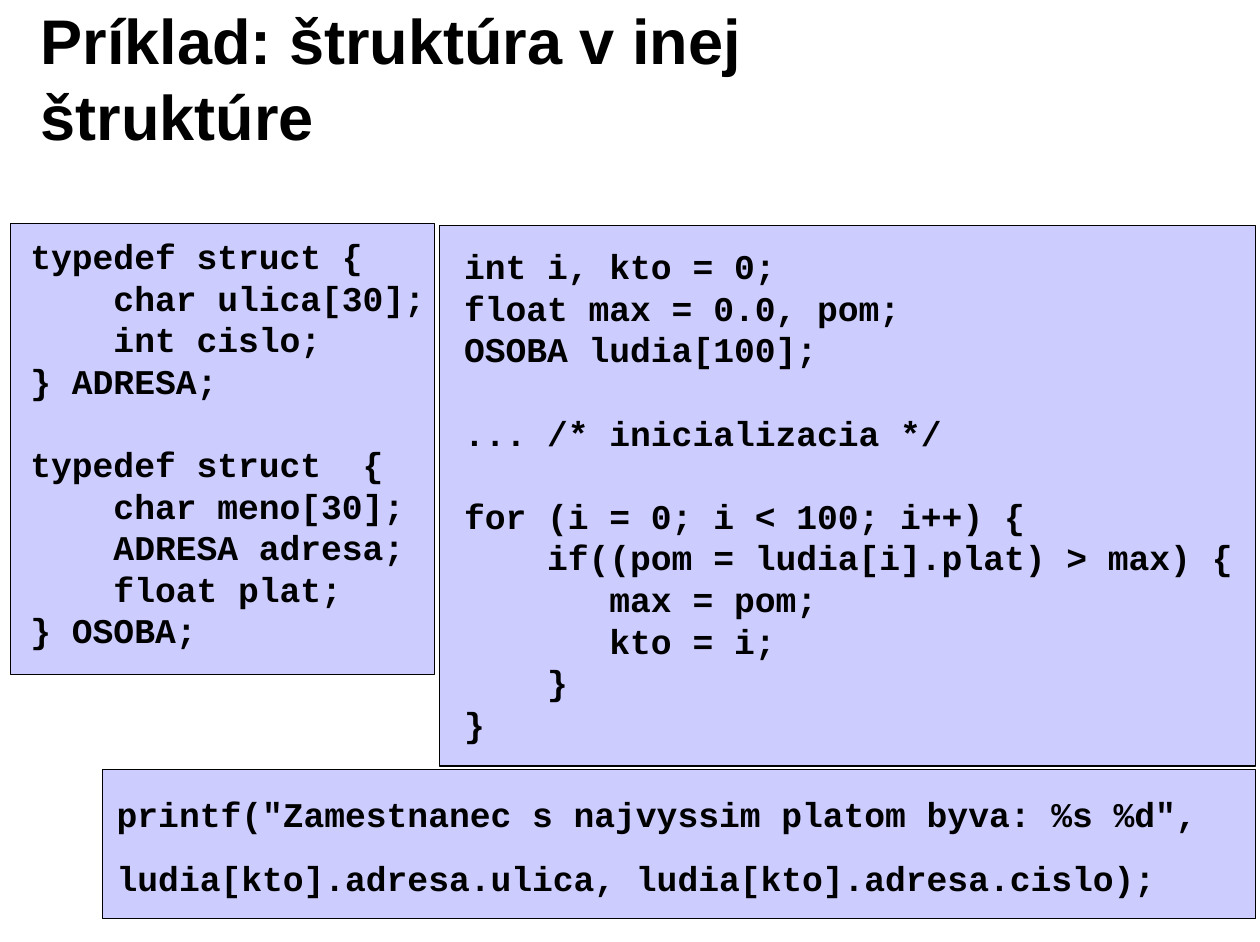
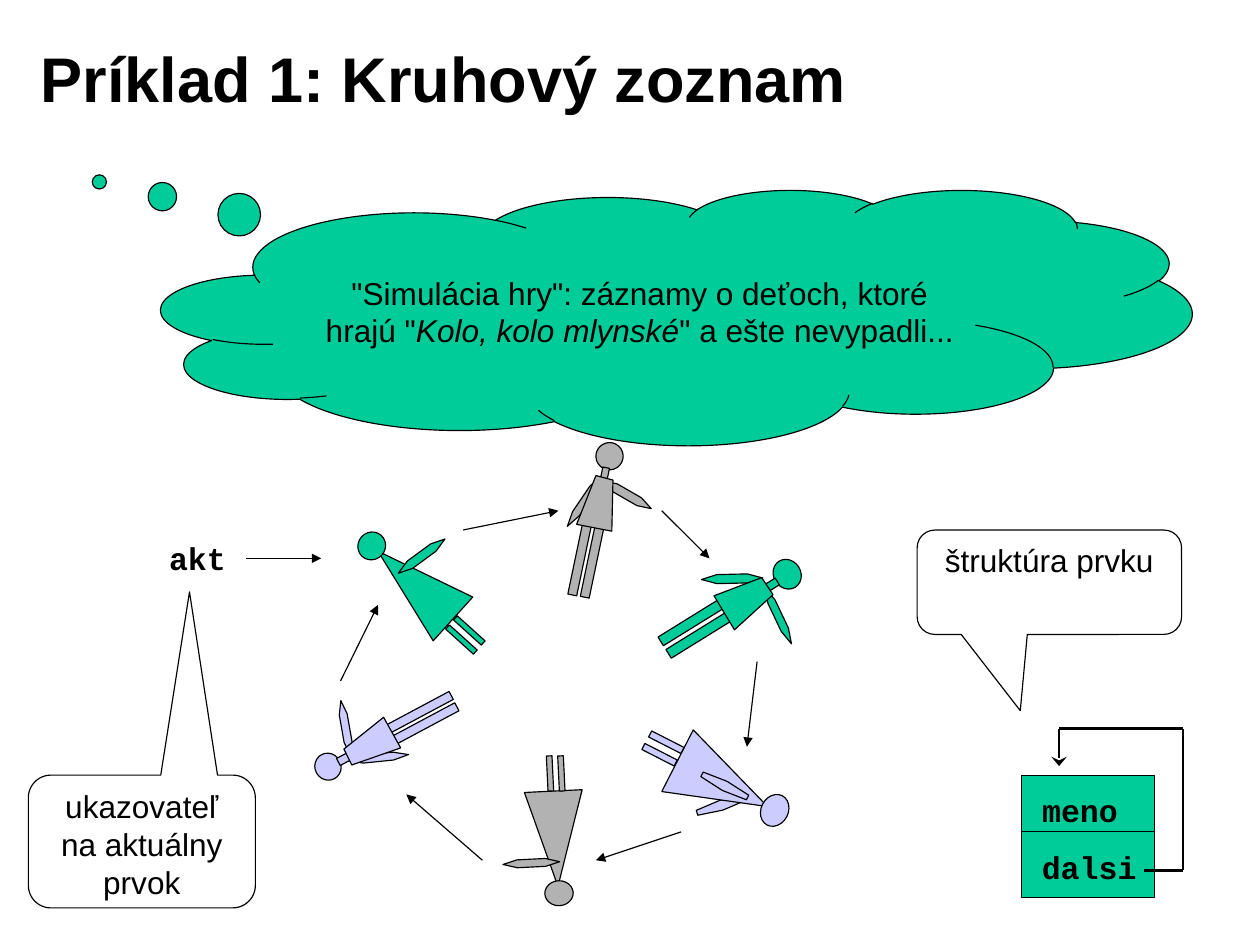
from itertools import pairwise

from pptx import Presentation
from pptx.dml.color import RGBColor
from pptx.enum.shapes import MSO_CONNECTOR, MSO_SHAPE as SHAPE
from pptx.enum.text import MSO_ANCHOR as ANCHOR, MSO_AUTO_SIZE as FIT, PP_ALIGN as ALIGN
from pptx.oxml.ns import qn
from pptx.util import Inches, Pt

COLOURS = {"ink": "000000", "paper": "FFFFFF", "lilac": "CCCCFF",
           "green": "00CC99", "grey": "B2B2B2"}
SANS, MONO = "Arial", "Courier New"
SLIDE_SIZE = (11.1, 8.3)
TITLE_BOX = (0.25, 0.17, 8.91, 1.02)
LINE_PITCH = 1.2

# Slide 1: code panels as (panel box, text box, extra space between lines, code)
NESTED_TITLE = "Príklad: štruktúra v inej štruktúre"
CODE_PANELS = [
    ((0.09, 1.97, 3.74, 3.97), (0.17, 2.02, 3.74, 3.78), 0, """\
typedef struct {
    char ulica[30];
    int cislo;
} ADRESA;

typedef struct  {
    char meno[30];
    ADRESA adresa;
    float plat;
} OSOBA;"""),
    ((3.87, 1.99, 7.19, 4.76), (3.99, 2.11, 6.97, 4.5), 0, """\
int i, kto = 0;
float max = 0.0, pom;
OSOBA ludia[100];

... /* inicializacia */

for (i = 0; i < 100; i++) {
    if((pom = ludia[i].plat) > max) {
       max = pom;
       kto = i;
    }
}"""),
    ((0.9, 6.78, 10.16, 1.31), (0.93, 6.94, 9.91, 1.03), 13.8, """\
printf("Zamestnanec s najvyssim platom byva: %s %d",
ludia[kto].adresa.ulica, ludia[kto].adresa.cislo);"""),
]

# Slide 2: circular list
RING_TITLE = "Príklad 1: Kruhový zoznam"
GAME_RUNS = [('"Simulácia hry": záznamy o deťoch, ktoré hrajú "', False),
             ("Kolo, kolo mlynské", True),
             ('" a ešte nevypadli...', False)]
GAME_CLOUD = (1.42, 1.67, 9.08, 2.25)

# Children: colour, turn in degrees, parts (kind, box, own turn for arms), torso
PART_SHAPES = {"dress": SHAPE.ISOSCELES_TRIANGLE, "arm": SHAPE.HEXAGON,
               "head": SHAPE.OVAL, "leg": SHAPE.RECTANGLE, "neck": SHAPE.RECTANGLE}
CHILDREN = [
    ("grey", 177.2, [
        ("dress", (4.64, 6.97, 0.51, 0.84)),
        ("arm", (4.43, 7.57, 0.5, 0.07), 177.2),
        ("head", (4.8, 7.76, 0.25, 0.22)),
        ("leg", (4.92, 6.66, 0.05, 0.31)),
        ("leg", (4.82, 6.66, 0.05, 0.31))], []),
    ("green", 312.1, [
        ("dress", (3.4, 4.71, 0.52, 0.89)),
        ("arm", (3.46, 4.86, 0.51, 0.08), 323.7),
        ("head", (3.15, 4.69, 0.25, 0.24)),
        ("leg", (4.04, 5.47, 0.05, 0.33)),
        ("leg", (4.11, 5.39, 0.05, 0.33))], []),
    ("lilac", 117, [
        ("arm", (6.31, 6.87, 0.09, 0.45), 72.6),
        ("dress", (6.06, 6.46, 0.61, 0.89)),
        ("arm", (6.34, 6.7, 0.09, 0.45), 117),
        ("head", (6.68, 7.02, 0.29, 0.24)),
        ("leg", (5.84, 6.38, 0.06, 0.32)),
        ("leg", (5.78, 6.49, 0.06, 0.32))], []),
    ("lilac", 241.9, [
        ("arm", (3.06, 6.64, 0.54, 0.07), 174.3),
        ("arm", (2.8, 6.38, 0.49, 0.07), 260),
        ("head", (2.77, 6.64, 0.24, 0.23)),
        ("leg", (3.69, 6.05, 0.08, 0.67)),
        ("leg", (3.64, 5.95, 0.08, 0.67)),
        ("neck", (2.99, 6.64, 0.07, 0.1))],
     [(3.53, 6.59), (3.1, 6.74), (3.03, 6.6), (3.38, 6.32)]),
    ("green", 58.2, [
        ("arm", (6.18, 5.06, 0.54, 0.08), 358.6),
        ("arm", (6.58, 5.39, 0.55, 0.07), 64.6),
        ("head", (6.8, 4.94, 0.27, 0.24)),
        ("leg", (6.06, 5.14, 0.09, 0.67)),
        ("leg", (6.13, 5.25, 0.09, 0.67)),
        ("neck", (6.77, 5.1, 0.07, 0.1))],
     [(6.29, 5.25), (6.71, 5.09), (6.81, 5.24), (6.47, 5.55)]),
    ("grey", 11.8, [
        ("arm", (4.88, 4.38, 0.54, 0.07), 304.2),
        ("arm", (5.28, 4.32, 0.49, 0.08), 29.9),
        ("head", (5.25, 3.9, 0.24, 0.24)),
        ("leg", (5.07, 4.58, 0.08, 0.67)),
        ("leg", (5.18, 4.6, 0.08, 0.67)),
        ("neck", (5.3, 4.12, 0.06, 0.1))],
     [(5.08, 4.62), (5.25, 4.19), (5.4, 4.23), (5.39, 4.68)]),
]
RING_ARROWS = [
    ((3, 6), (3.33, 5.33)), ((4.08, 4.67), (4.92, 4.5)),
    ((5.83, 4.5), (6.25, 4.92)), ((6.67, 5.83), (6.58, 6.58)),
    ((6, 7.33), (5.25, 7.58)), ((4.25, 7.58), (3.58, 7)),
    ((2.17, 4.92), (2.83, 4.92)),
]
CALLOUTS = [
    ("ukazovateľ na aktuálny prvok", (0.25, 6.83, 2, 1.17), (0.21, -1.88, 0.17)),
    ("štruktúra prvku", (8.08, 4.67, 2.33, 0.92), (-0.11, 1.23, 0.17)),
]
RECORD_BOX = (9, 6.83, 1.17, 1.08)
RECORD_DIVIDER = ((9, 7.33), (10.17, 7.33))
LABELS = [("akt", (1.39, 4.7, 0.7, 0.44)),
          ("meno", (9.08, 6.92, 0.87, 0.44)),
          ("dalsi", (9.07, 7.42, 1.05, 0.44))]
NEXT_LINK = [(10.08, 7.67), (10.42, 7.67), (10.42, 6.42), (9.33, 6.42), (9.33, 6.75)]


def rgb(name):
    return RGBColor.from_string(COLOURS[name])


def inches(values):
    return [Inches(value) for value in values]


def paint(shape, fill):
    shape.shadow.inherit = False
    shape.fill.solid()
    shape.fill.fore_color.rgb = rgb(fill)
    shape.line.color.rgb = rgb("ink")
    shape.line.width = Pt(0.75)
    return shape


def add_shape(slide, kind, box, fill, turn=0, adjust=()):
    shape = slide.shapes.add_shape(kind, *inches(box))
    for index, value in enumerate(adjust):
        shape.adjustments[index] = value
    shape.rotation = turn
    return paint(shape, fill)


def style_text(frame, size, font, bold=False, align=ALIGN.LEFT,
               anchor=ANCHOR.TOP, wrap=True, insets=(0.1, 0.05)):
    frame.word_wrap = wrap
    if not wrap:
        frame.auto_size = FIT.SHAPE_TO_FIT_TEXT
    frame.vertical_anchor = anchor
    frame.margin_left = frame.margin_right = Inches(insets[0])
    frame.margin_top = frame.margin_bottom = Inches(insets[1])
    for paragraph in frame.paragraphs:
        paragraph.alignment = align
        paragraph.line_spacing = Pt(size * LINE_PITCH)
        for run in paragraph.runs:
            run.font.size = Pt(size)
            run.font.name = font
            run.font.bold = bold
            run.font.color.rgb = rgb("ink")


def add_text(slide, text, box, size, font, **style):
    frame = slide.shapes.add_textbox(*inches(box)).text_frame
    frame.text = text
    style_text(frame, size, font, **style)
    return frame


def add_code(slide, code, box, gap, size=22):
    lines = code.split("\n")
    frame = add_text(slide, "\n".join(filter(None, lines)), box, size, MONO, bold=True)
    # An empty code line becomes space before the next line
    paragraphs = iter(frame.paragraphs)
    next(paragraphs)
    for before, line in pairwise(lines):
        if line:
            space = gap if before else size * LINE_PITCH
            next(paragraphs).space_before = Pt(space)


def add_line(slide, start, end, width=0.75, head=None):
    connector = slide.shapes.add_connector(MSO_CONNECTOR.STRAIGHT, *inches(start + end))
    connector.line.color.rgb = rgb("ink")
    connector.line.width = Pt(width)
    properties = connector._element.spPr
    if head:
        outline = properties.find(qn("a:ln"))
        outline.append(outline.makeelement(qn("a:tailEnd"), head))
    properties.append(properties.makeelement(qn("a:effectLst"), {}))


def add_child(slide, colour, turn, parts, torso):
    for kind, box, *own_turn in parts:
        width, height = box[2:]
        adjust = [0.25 * max(width / height, 1)] if kind == "arm" else []
        add_shape(slide, PART_SHAPES[kind], box, colour,
                  own_turn[0] if own_turn else turn, adjust)
    if torso:
        first, *others = [inches(point) for point in torso]
        outline = slide.shapes.build_freeform(*first)
        outline.add_line_segments(others, close=True)
        paint(outline.convert_to_shape(), colour)


def new_slide(deck, title):
    slide = deck.slides.add_slide(deck.slide_layouts[6])
    add_text(slide, title, TITLE_BOX, 40, SANS, bold=True,
             anchor=ANCHOR.MIDDLE, insets=(0.11, 0.06))
    return slide


def build_nested_struct(deck):
    slide = new_slide(deck, NESTED_TITLE)
    for panel, text_box, gap, code in CODE_PANELS:
        add_shape(slide, SHAPE.RECTANGLE, panel, "lilac")
        add_code(slide, code, text_box, gap)


def build_circular_list(deck):
    slide = new_slide(deck, RING_TITLE)

    # Cloud with the game
    cloud = add_shape(slide, SHAPE.CLOUD_CALLOUT, GAME_CLOUD, "green",
                      adjust=(-0.56, -0.53))
    sentence = cloud.text_frame.paragraphs[0]
    for text, italic in GAME_RUNS:
        run = sentence.add_run()
        run.text = text
        run.font.italic = italic
    style_text(cloud.text_frame, 20, SANS, align=ALIGN.CENTER, anchor=ANCHOR.MIDDLE)

    # Ring of children
    for child in CHILDREN:
        add_child(slide, *child)
    for start, end in RING_ARROWS:
        add_line(slide, start, end, head={"type": "triangle"})

    # Callouts and the record
    for text, box, adjust in CALLOUTS:
        callout = add_shape(slide, SHAPE.ROUNDED_RECTANGULAR_CALLOUT, box, "paper",
                            adjust=adjust)
        callout.text_frame.text = text
        style_text(callout.text_frame, 20, SANS, align=ALIGN.CENTER)
    add_shape(slide, SHAPE.RECTANGLE, RECORD_BOX, "green")
    add_line(slide, *RECORD_DIVIDER)
    for text, box in LABELS:
        add_text(slide, text, box, 20, MONO, bold=True, align=ALIGN.CENTER, wrap=False)
    for start, end in pairwise(NEXT_LINK):
        head = {"type": "stealth", "w": "lg"} if end == NEXT_LINK[-1] else None
        add_line(slide, start, end, 1.5, head)


def main():
    deck = Presentation()
    deck.slide_width, deck.slide_height = inches(SLIDE_SIZE)
    build_nested_struct(deck)
    build_circular_list(deck)
    deck.save("out.pptx")


if __name__ == "__main__":
    main()
